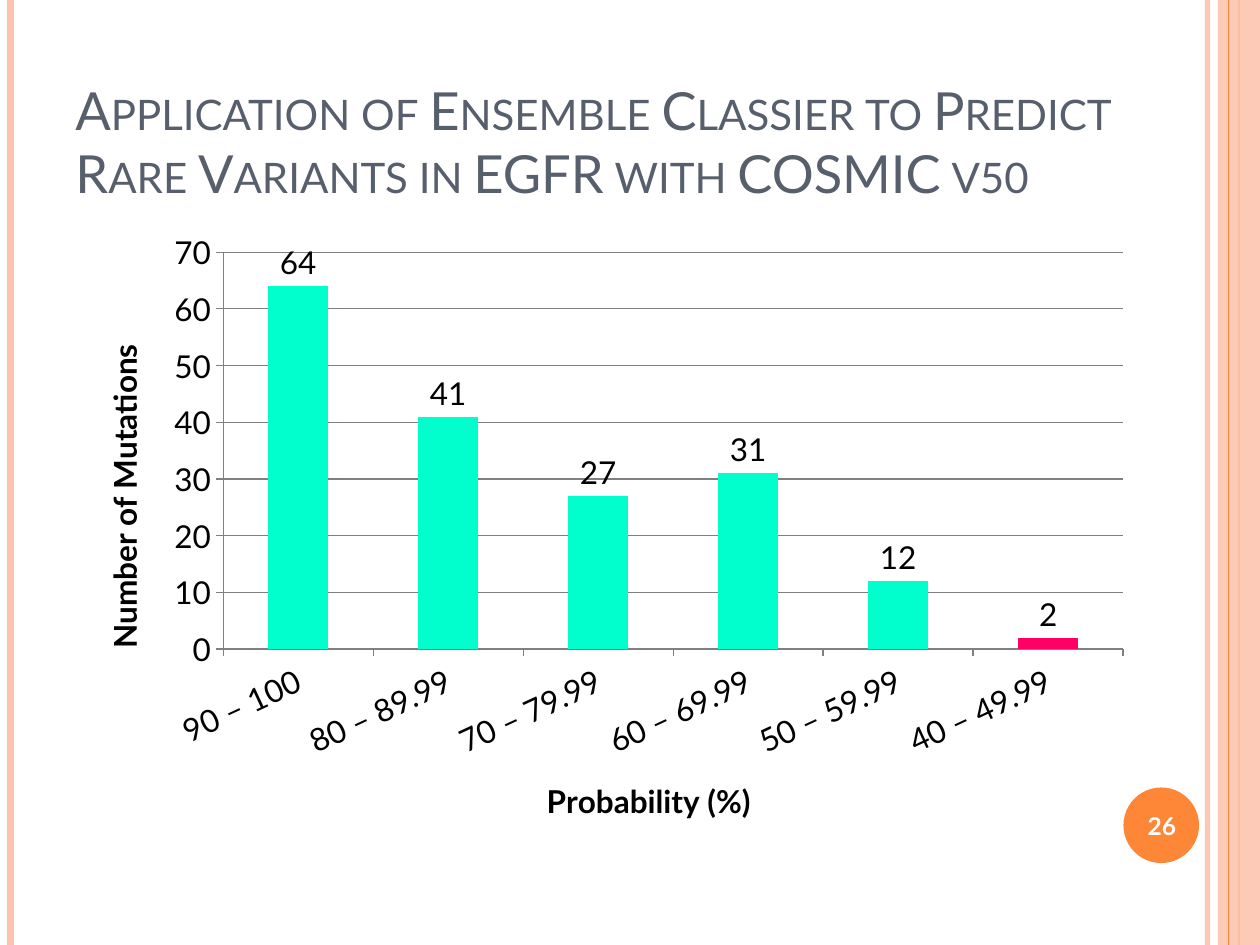
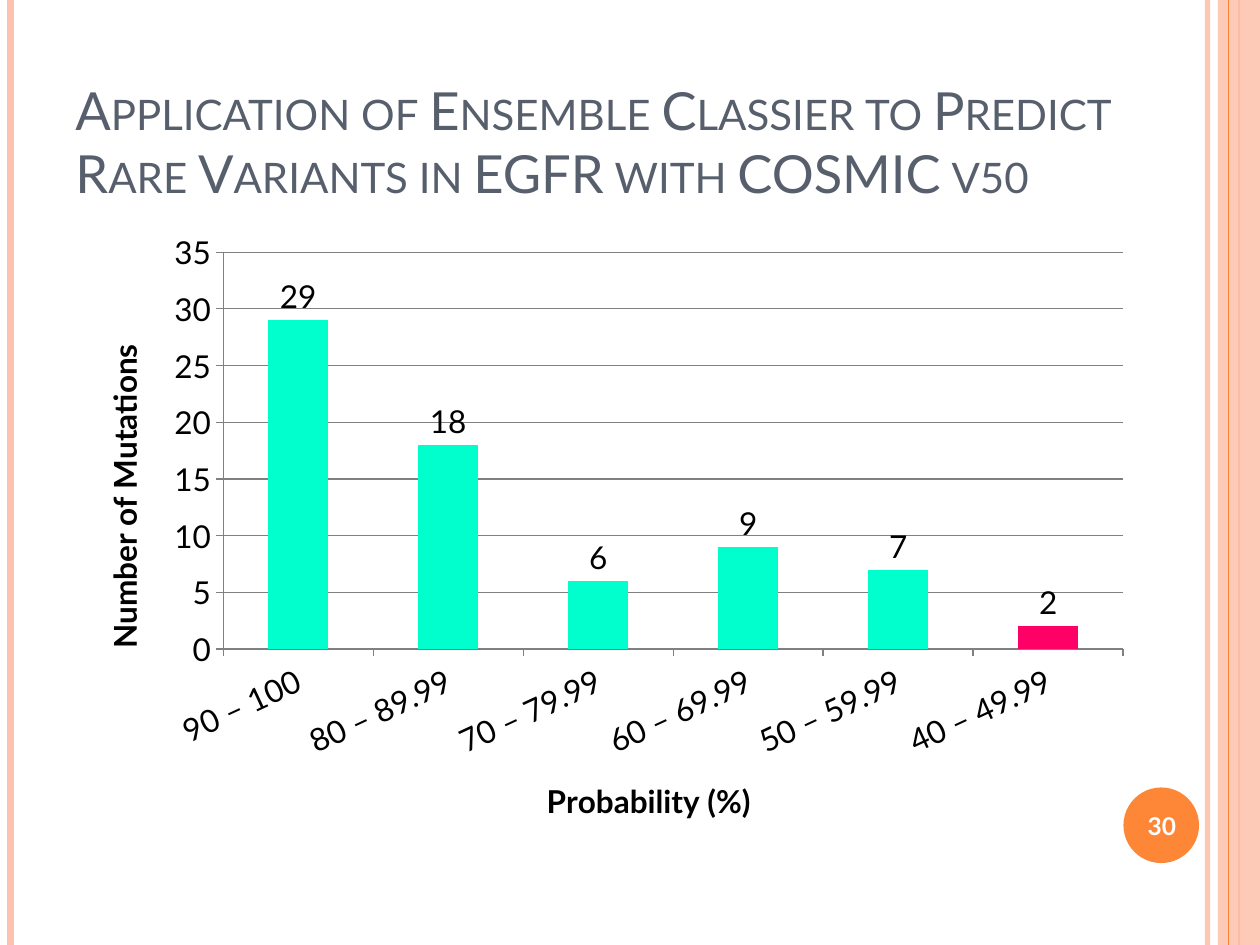
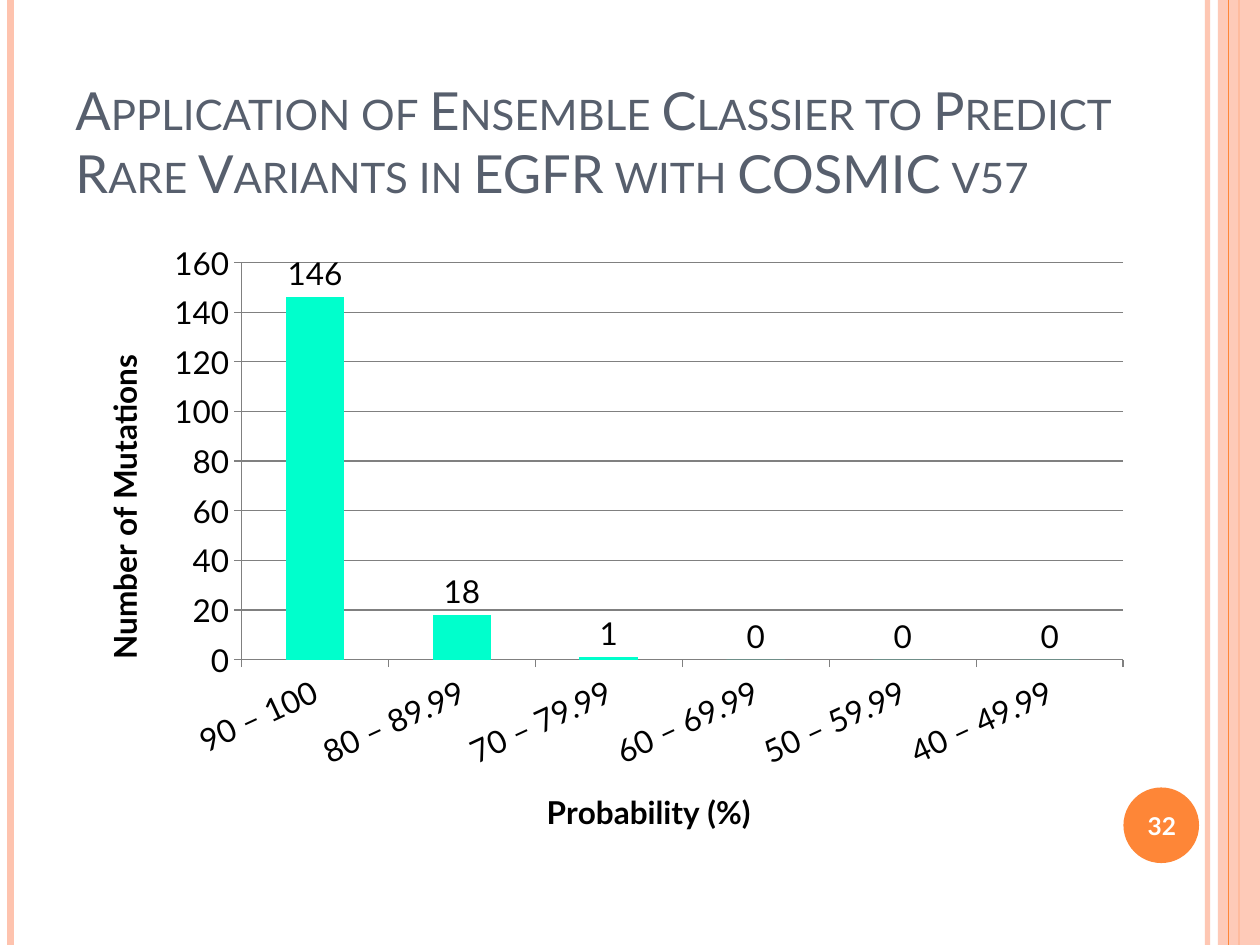
from lxml import etree
from pptx import Presentation
from pptx.chart.data import CategoryChartData
from pptx.dml.color import RGBColor
from pptx.enum.chart import XL_CHART_TYPE, XL_LABEL_POSITION, XL_TICK_MARK
from pptx.enum.shapes import MSO_CONNECTOR, MSO_SHAPE
from pptx.enum.text import MSO_ANCHOR, PP_ALIGN
from pptx.oxml.ns import qn
from pptx.util import Pt

COLUMNS = XL_CHART_TYPE.COLUMN_CLUSTERED
OUTSIDE_END = XL_LABEL_POSITION.OUTSIDE_END
TICK_OUTSIDE = XL_TICK_MARK.OUTSIDE
STRAIGHT = MSO_CONNECTOR.STRAIGHT
RECTANGLE, ELLIPSE = MSO_SHAPE.RECTANGLE, MSO_SHAPE.OVAL
BOTTOM, MIDDLE = MSO_ANCHOR.BOTTOM, MSO_ANCHOR.MIDDLE
LEFT, CENTER = PP_ALIGN.LEFT, PP_ALIGN.CENTER

WIDTH, HEIGHT = 720, 540
FONT = "Lato"
PEACH, ORANGE, SLATE = "FEC3AE", "FE8637", "575F6D"
WHITE, BLACK, GRAY = "FFFFFF", "000000", "808080"
MINT, PINK = "00FFCC", "FF0066"

TITLE = ("Application of Ensemble Classier to Predict "
         "Rare Variants in EGFR with COSMIC {}")
PROBABILITY_RANGES = ["90 – 100"] + [f"{low} – {low + 9}.99" for low in range(80, 30, -10)]
LABEL_ROTATION = -25

# COSMIC version, slide number, chart top, mutations per range, highlighted columns
RESULTS = [
    ("v50", 26, 126, (64, 41, 27, 31, 12, 2), (5,)),
    ("v50", 30, 126, (29, 18, 6, 9, 7, 2), (5,)),
    ("v57", 32, 132, (146, 18, 1, 0, 0, 0), ()),
]


def rgb(color):
    return RGBColor.from_string(color)


def set_opacity(element, percent):
    """Make every colour inside the element partly transparent."""
    for color in element.iter(qn("a:srgbClr")):
        etree.SubElement(color, qn("a:alpha"), val=str(percent * 1000))


def set_font(font, size, color, **values):
    font.color.rgb = rgb(color)
    for name, value in {"name": FONT, "size": Pt(size), **values}.items():
        setattr(font, name, value)


class Deck:
    """Holds the presentation and the slide being drawn."""

    def __init__(self):
        self.presentation = Presentation()
        self.presentation.slide_width = Pt(WIDTH)
        self.presentation.slide_height = Pt(HEIGHT)
        self.slide = None

    def add_slide(self):
        self.slide = self.presentation.slides.add_slide(self.presentation.slide_layouts[6])

    def add_vertical_line(self, x, color, width, opacity=100):
        line = self.slide.shapes.add_connector(STRAIGHT, Pt(x), 0, Pt(x), Pt(HEIGHT))
        line.line.color.rgb = rgb(color)
        line.line.width = Pt(width)
        properties = line._element.spPr
        if opacity < 100:
            set_opacity(properties, opacity)
        etree.SubElement(properties, qn("a:effectLst"))

    def add_shape(self, kind, box, color, opacity=100):
        shape = self.slide.shapes.add_shape(kind, *map(Pt, box))
        shape.shadow.inherit = False
        shape.fill.solid()
        shape.fill.fore_color.rgb = rgb(color)
        shape.line.fill.background()
        if opacity < 100:
            set_opacity(shape._element.spPr, opacity)

    def add_text(self, text, box, size, color, anchor, alignment, small_caps=False, **values):
        frame = self.slide.shapes.add_textbox(*map(Pt, box)).text_frame
        frame.word_wrap = True
        frame.vertical_anchor = anchor
        paragraph = frame.paragraphs[0]
        paragraph.alignment = alignment
        run = paragraph.add_run()
        run.text = text
        set_font(run.font, size, color, **values)
        if small_caps:
            run.font._element.set("cap", "small")

    def add_frame(self, number):
        """Draw the side bands and the numbered badge found on every slide."""
        self.add_vertical_line(690, PEACH, 3, opacity=93)
        self.add_vertical_line(6, PEACH, 4.5)
        self.add_vertical_line(708, ORANGE, 1.5)
        self.add_shape(RECTANGLE, (696, 0, 24, HEIGHT), PEACH, opacity=87)
        self.add_vertical_line(702, ORANGE, 0.75)
        self.add_shape(ELLIPSE, (642, 450, 43.2, 43.2), ORANGE)
        self.add_text(str(number), (640, 451.2, 48, 41), 14, WHITE, MIDDLE, CENTER, bold=True)

    def add_title(self, text):
        self.add_text(text, (36, 30, 624, 90), 30, SLATE, BOTTOM, LEFT, small_caps=True)

    def style_axis(self, axis, title):
        axis.major_tick_mark = TICK_OUTSIDE
        set_font(axis.tick_labels.font, 18, BLACK)
        frame = axis.axis_title.text_frame
        frame.text = title
        set_font(frame.paragraphs[0].runs[0].font, 18, BLACK, bold=True)
        self.style_chart_line(axis.format.line)

    def style_chart_line(self, line):
        line.color.rgb = rgb(GRAY)
        line.width = Pt(0.75)

    def add_mutation_chart(self, top, counts, highlighted):
        data = CategoryChartData()
        data.categories = PROBABILITY_RANGES
        data.add_series("Series 1", counts)
        box = map(Pt, (42, top, 612, 360))
        chart = self.slide.shapes.add_chart(COLUMNS, *box, data).chart
        chart.has_title = chart.has_legend = False
        set_font(chart.font, 18, BLACK)

        self.style_axis(chart.category_axis, "Probability (%)")
        self.style_axis(chart.value_axis, "Number of Mutations")
        self.style_chart_line(chart.value_axis.major_gridlines.format.line)
        label_body = chart.category_axis._element.find(qn("c:txPr")).find(qn("a:bodyPr"))
        label_body.set("rot", str(LABEL_ROTATION * 60000))

        plot = chart.plots[0]
        plot.gap_width = 150
        plot.vary_by_categories = False
        plot.has_data_labels = True
        labels = plot.data_labels
        labels.show_value = True
        labels.position = OUTSIDE_END
        set_font(labels.font, 18, BLACK)

        series = plot.series[0]
        columns = [(series, MINT)] + [(series.points[index], PINK) for index in highlighted]
        for column, color in columns:
            column.format.fill.solid()
            column.format.fill.fore_color.rgb = rgb(color)


def main():
    deck = Deck()
    for version, number, chart_top, counts, highlighted in RESULTS:
        deck.add_slide()
        deck.add_frame(number)
        deck.add_title(TITLE.format(version))
        deck.add_mutation_chart(chart_top, counts, highlighted)
    deck.presentation.save("out.pptx")


if __name__ == "__main__":
    main()
